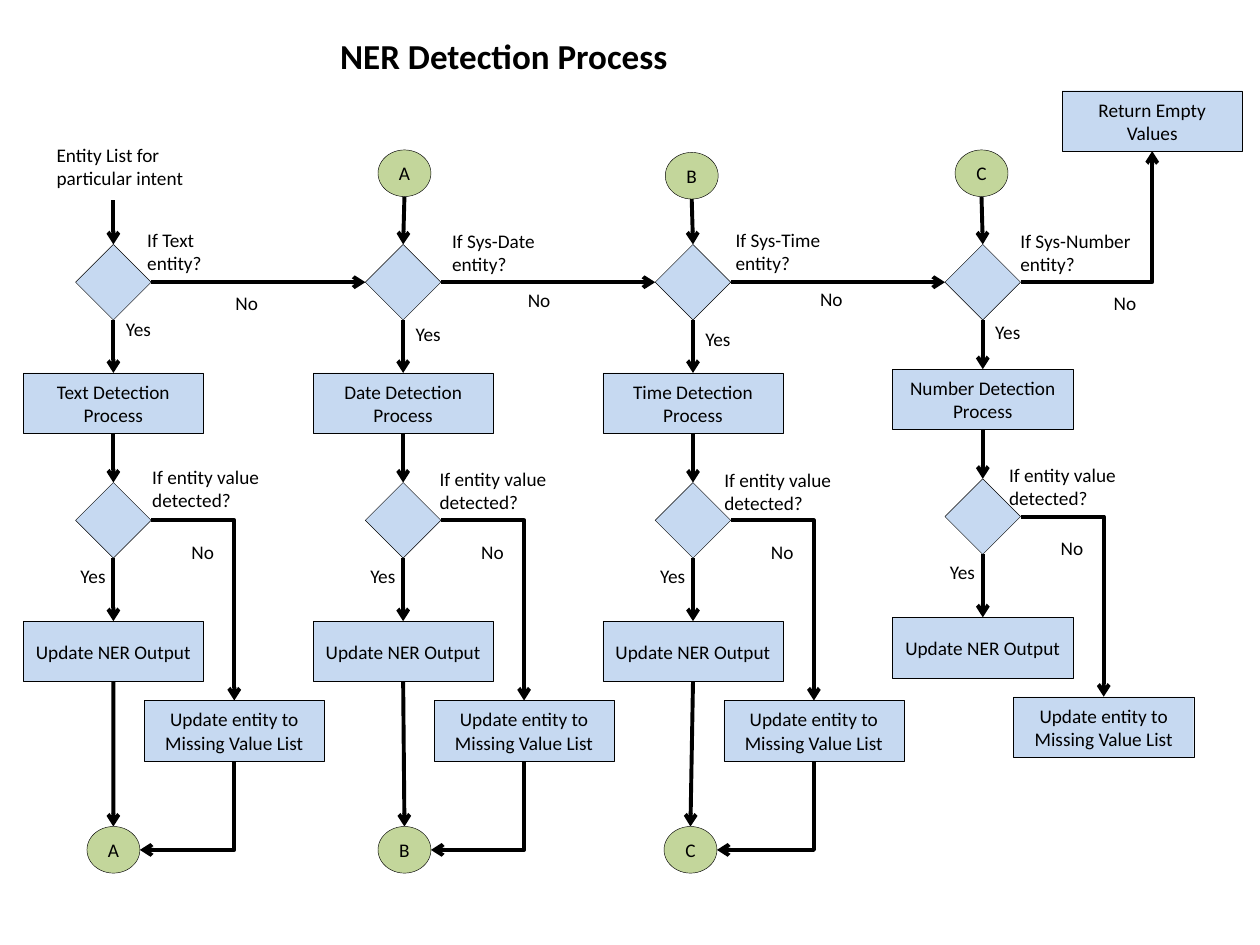
from lxml import etree
from pptx import Presentation
from pptx.dml.color import RGBColor
from pptx.enum.shapes import MSO_CONNECTOR, MSO_SHAPE
from pptx.enum.text import MSO_ANCHOR, MSO_AUTO_SIZE, PP_ALIGN
from pptx.oxml.ns import qn
from pptx.util import Inches, Pt

RECTANGLE, DIAMOND, OVAL = MSO_SHAPE.RECTANGLE, MSO_SHAPE.DIAMOND, MSO_SHAPE.OVAL
STRAIGHT, ELBOW = MSO_CONNECTOR.STRAIGHT, MSO_CONNECTOR.ELBOW
LEFT, CENTER = PP_ALIGN.LEFT, PP_ALIGN.CENTER
TOP, MIDDLE = MSO_ANCHOR.TOP, MSO_ANCHOR.MIDDLE
GROW = MSO_AUTO_SIZE.SHAPE_TO_FIT_TEXT

THEME = {
    "font": "Calibri", "title": 20, "body": 11, "outline": 0.25, "arrow": 2.25,
    "ink": RGBColor(0x00, 0x00, 0x00),
    "step": RGBColor(0xC6, 0xD9, 0xF1),
    "link": RGBColor(0xC3, 0xD6, 0x9B),
}

# Content: one entry per column; positions are (left, top) in inches.
TITLE = "NER Detection Process"
START = "Entity List for particular intent"
FALLBACK = "Return Empty Values"
DETECTED = "If entity value detected?"
UPDATE = "Update NER Output"
MISSING = "Update entity to Missing Value List"
COLUMNS = [
    {"process": "Text Detection Process", "question": "If Text entity?",
     "question_at": (1.07, 1.76), "question_width": 0.71,
     "detected_at": (1.11, 3.64), "yes_top": 2.47, "no_at": (1.77, 2.26),
     "entry": None, "exit": ("A", 0.69, 6.56), "lift": 0},
    {"process": "Date Detection Process", "question": "If Sys-Date entity?",
     "question_at": (3.49, 1.77), "question_width": 1.07,
     "detected_at": (3.39, 3.66), "yes_top": 2.51, "no_at": (4.09, 2.24),
     "entry": ("A", 3, 1.19), "exit": ("B", 3, 6.56), "lift": 0},
    {"process": "Time Detection Process", "question": "If Sys-Time entity?",
     "question_at": (5.74, 1.76), "question_width": 0.93,
     "detected_at": (5.65, 3.67), "yes_top": 2.55, "no_at": (6.41, 2.23),
     "entry": ("B", 5.28, 1.21), "exit": ("C", 5.27, 6.56), "lift": 0},
    {"process": "Number Detection Process", "question": "If Sys-Number entity?",
     "question_at": (8, 1.77), "question_width": 1.09,
     "detected_at": (7.91, 3.63), "yes_top": 2.49, "no_at": (8.74, 2.26),
     "entry": ("C", 7.58, 1.19), "exit": None, "lift": 0.03},
]

# Geometry in inches
FIRST_CENTER, PITCH = 0.9, 2.3
BOX, DECISION, CIRCLE = (1.43, 0.48), (0.6, 0.6), (0.42, 0.37)
LABEL = (0.71, 0.29)
TWO_LINES = 0.47
ENTITY_TOP, PROCESS_TOP, DETECTED_TOP, UPDATE_TOP, MISSING_TOP = 1.94, 2.96, 3.83, 4.93, 5.56
MISSING_SHIFT = 0.96


def write(shape, text, align=LEFT, anchor=TOP, size=THEME["body"], bold=False):
    """Put formatted text in a shape."""
    frame = shape.text_frame
    frame.text = text
    for name, value in {"word_wrap": True, "vertical_anchor": anchor}.items():
        setattr(frame, name, value)
    paragraph = frame.paragraphs[0]
    paragraph.alignment = align
    font = paragraph.runs[0].font
    for name, value in {"name": THEME["font"], "size": Pt(size), "bold": bold}.items():
        setattr(font, name, value)
    font.color.rgb = THEME["ink"]


def add_node(slide, kind, left, top, size, text="", fill="step"):
    """Add a flowchart node and return its edge midpoints."""
    width, height = size
    shape = slide.shapes.add_shape(kind, *map(Inches, (left, top, width, height)))
    shape.shadow.inherit = False
    shape.fill.solid()
    shape.fill.fore_color.rgb = THEME[fill]
    shape.line.color.rgb = THEME["ink"]
    shape.line.width = Pt(THEME["outline"])
    if text:
        write(shape, text, CENTER, MIDDLE)
    middle_x, middle_y = left + width / 2, top + height / 2
    return {"top": (middle_x, top), "bottom": (middle_x, top + height),
            "left": (left, middle_y), "right": (left + width, middle_y)}


def add_label(slide, text, left, top, width=LABEL[0], height=LABEL[1]):
    """Add a plain text label."""
    box = slide.shapes.add_textbox(*map(Inches, (left, top, width, height)))
    write(box, text)
    box.text_frame.auto_size = GROW


def add_arrow(slide, start, end, kind=STRAIGHT, down_first=False):
    """Draw an arrow; an elbow has one corner, reached sideways or downwards."""
    (x1, y1), (x2, y2) = start, end
    if down_first:
        # A quarter turn about the centre swaps the extents.
        center_x, center_y = (x1 + x2) / 2, (y1 + y2) / 2
        half_width, half_height = abs(y2 - y1) / 2, abs(x2 - x1) / 2
        x1, x2 = center_x - half_width, center_x + half_width
        y1, y2 = center_y - half_height, center_y + half_height
    connector = slide.shapes.add_connector(kind, *map(Inches, (x1, y1, x2, y2)))
    connector.line.color.rgb = THEME["ink"]
    connector.line.width = Pt(THEME["arrow"])
    properties = connector._element.spPr
    if kind == ELBOW:
        properties.find(qn("a:prstGeom")).set("prst", "bentConnector2")
    if down_first:
        properties.find(qn("a:xfrm")).set("rot", str(90 * 60000))
    etree.SubElement(properties.find(qn("a:ln")), qn("a:tailEnd"), type="arrow")
    etree.SubElement(properties, qn("a:effectLst"))


def add_column(slide, index, column):
    """Draw one detection column and return its entity decision."""
    center = FIRST_CENTER + index * PITCH
    lift = column["lift"]
    box_left, decision_left = center - BOX[0] / 2, center - DECISION[0] / 2

    entity = add_node(slide, DIAMOND, decision_left, ENTITY_TOP, DECISION)
    process = add_node(slide, RECTANGLE, box_left, PROCESS_TOP - lift, BOX, column["process"])
    detected = add_node(slide, DIAMOND, decision_left, DETECTED_TOP - lift, DECISION)
    update = add_node(slide, RECTANGLE, box_left, UPDATE_TOP - lift, BOX, UPDATE)
    missing = add_node(slide, RECTANGLE, box_left + MISSING_SHIFT, MISSING_TOP - lift,
                       BOX, MISSING)

    for upper, lower in ((entity, process), (process, detected), (detected, update)):
        add_arrow(slide, upper["bottom"], lower["top"])
    add_arrow(slide, detected["right"], missing["top"], ELBOW)

    if column["entry"]:
        name, left, top = column["entry"]
        entry = add_node(slide, OVAL, left, top, CIRCLE, name, "link")
        add_arrow(slide, entry["bottom"], entity["top"])
    if column["exit"]:
        name, left, top = column["exit"]
        leave = add_node(slide, OVAL, left, top, CIRCLE, name, "link")
        add_arrow(slide, update["bottom"], leave["top"])
        add_arrow(slide, missing["bottom"], leave["right"], ELBOW, down_first=True)

    add_label(slide, column["question"], *column["question_at"],
              column["question_width"], TWO_LINES)
    add_label(slide, DETECTED, *column["detected_at"], 1.19, TWO_LINES)
    add_label(slide, "Yes", center, column["yes_top"])
    add_label(slide, "Yes", center - 0.36, 4.43 - lift)
    add_label(slide, "No", center + 0.52, 4.24 - lift)
    add_label(slide, "No", *column["no_at"])
    return entity


def main():
    """Build and save the slide."""
    presentation = Presentation()
    presentation.slide_width, presentation.slide_height = Inches(10), Inches(7.5)
    slide = presentation.slides.add_slide(presentation.slide_layouts[5])

    title = slide.shapes.title
    place = {"left": 2.6, "top": 0.22, "width": 4.25, "height": 0.44}
    for name, value in place.items():
        setattr(title, name, Inches(value))
    write(title, TITLE, size=THEME["title"], bold=True)

    decisions = [add_column(slide, index, column) for index, column in enumerate(COLUMNS)]
    for current, following in zip(decisions, decisions[1:]):
        add_arrow(slide, current["right"], following["left"])

    add_label(slide, START, 0.35, 1.09, 1.41, TWO_LINES)
    add_arrow(slide, (FIRST_CENTER, 1.59), decisions[0]["top"])
    fallback = add_node(slide, RECTANGLE, 8.43, 0.72, BOX, FALLBACK)
    add_arrow(slide, decisions[-1]["right"], fallback["bottom"], ELBOW)

    presentation.save("out.pptx")


main()
